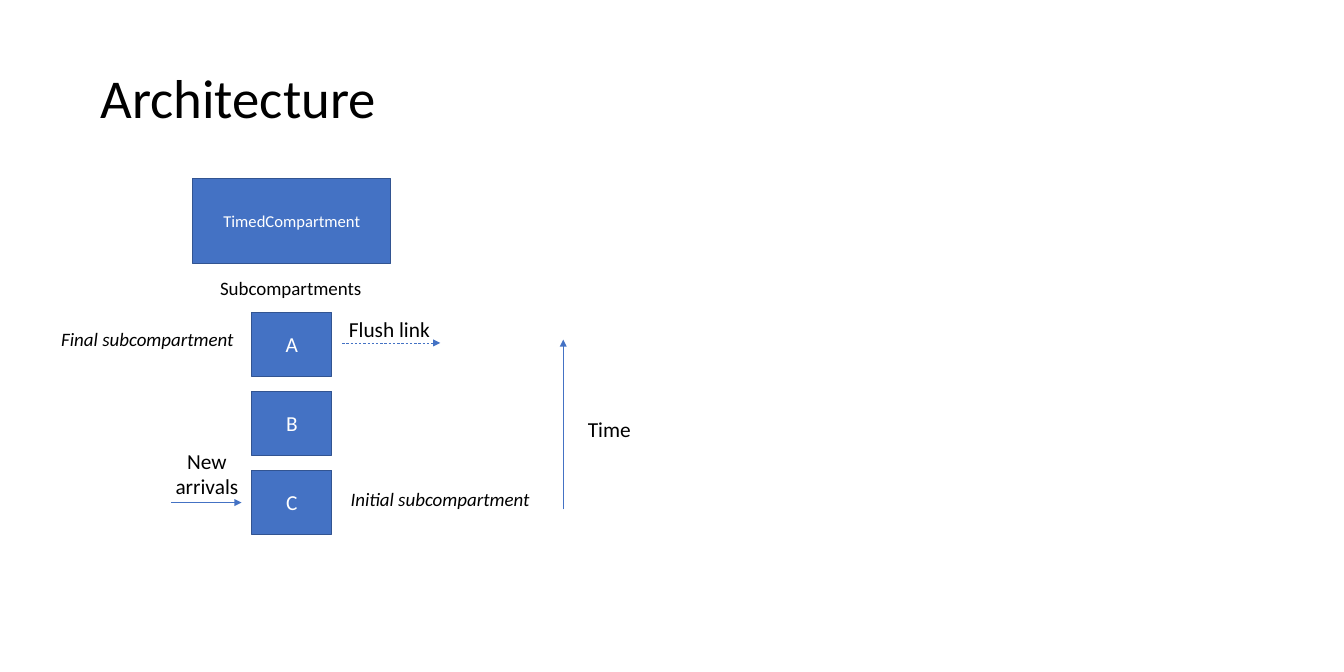
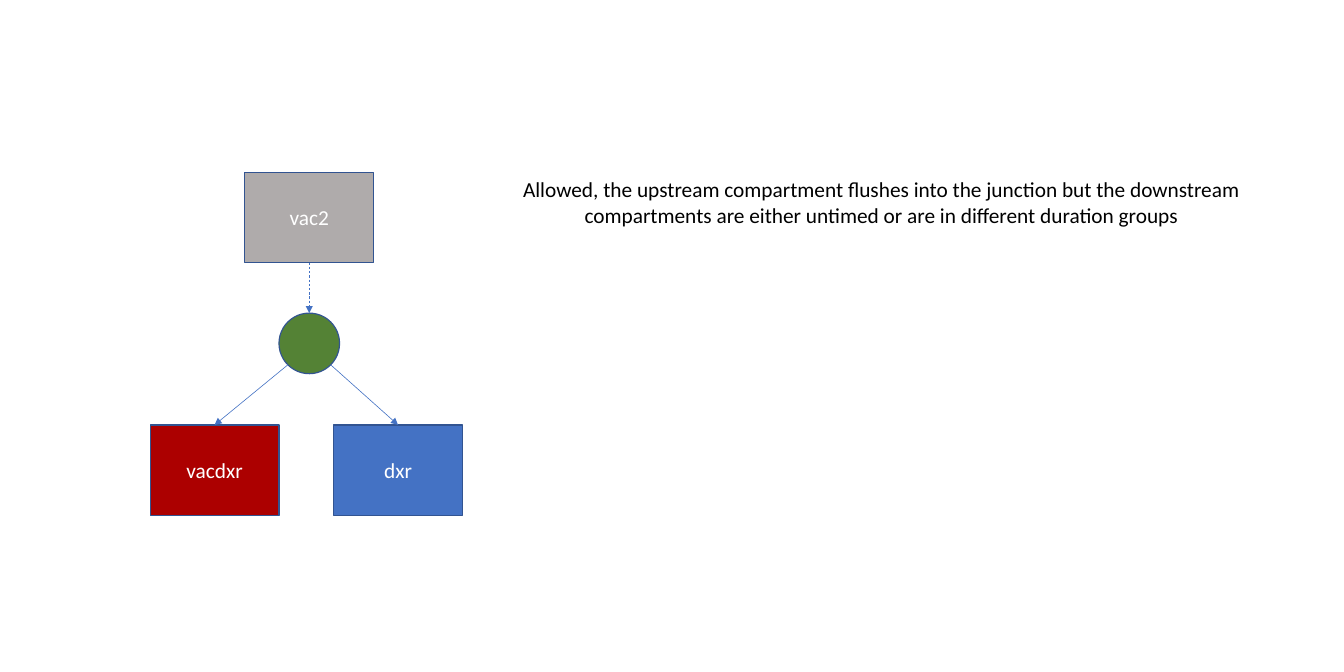
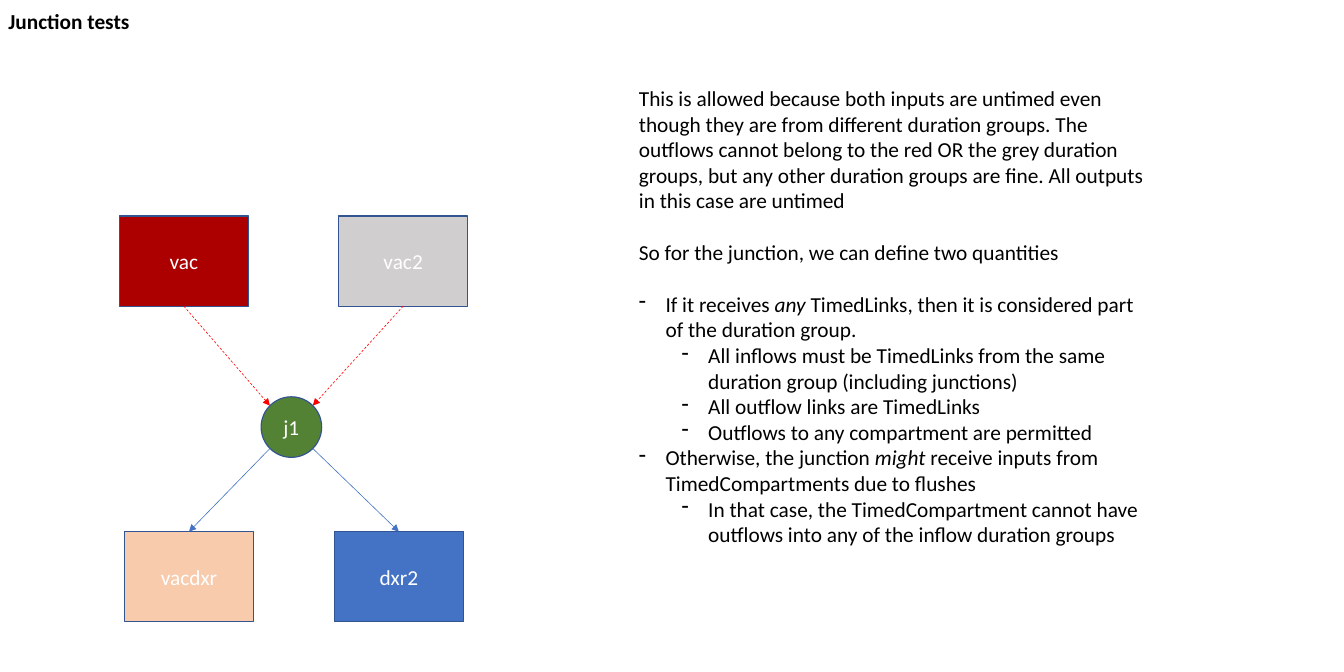
import math
import pptx
import pptx.util
import pptx.dml.color
import pptx.enum.dml
import pptx.enum.shapes
import pptx.enum.text
import pptx.oxml.ns
import lxml.etree

Pt = pptx.util.Pt
RGB = pptx.dml.color.RGBColor
SHAPE = pptx.enum.shapes.MSO_SHAPE
ALIGN = pptx.enum.text.PP_ALIGN
ANCHOR = pptx.enum.text.MSO_ANCHOR
qn = pptx.oxml.ns.qn

BLUE, EDGE = RGB(0x44, 0x72, 0xC4), RGB(0x32, 0x54, 0x91)
RED, CRIMSON = RGB(0xFF, 0, 0), RGB(0xAC, 0, 0)
GREY, SILVER = RGB(0xAF, 0xAB, 0xAB), RGB(0xD0, 0xCE, 0xCE)
GREEN, PEACH = RGB(0x54, 0x82, 0x35), RGB(0xF8, 0xCB, 0xAD)
BLACK, WHITE = RGB(0, 0, 0), RGB(0xFF, 0xFF, 0xFF)
FONT, BODY, LINE = "Calibri", 18, 22
BOX_W, BOX_H, HUB_D = 108.7, 76.2, 51.1

# Slide 1: text, place, size, italic
STAGES = ["A", "B", "C"]
STAGE_X, STAGE_Y, STAGE_W, STAGE_H, STAGE_STEP = 212.4, 263.5, 67.7, 54, 66.6
LABELS = [
    ("Flush link", (287.3, 263.5, 83.5, 29), 18, False),
    ("Subcompartments", (178.6, 229.7, 135.4, 26.6), 16, False),
    ("Final subcompartment", (44.6, 272.9, 162.7, 26.6), 16, True),
    ("Initial subcompartment", (288.7, 408.2, 167.8, 26.6), 16, True),
    ("Time", (488.9, 347.8, 51.1, 29), 18, False),
]
FLOWS = [  # from, to, dashed
    ((288.7, 289.4), (371.5, 289.4), True),
    ((144.7, 424.1), (203.8, 424.1), False),
    ((475.2, 429.8), (475.2, 286.6), False),
]

# Slides 2 and 3: hub, sources above it, targets below it
SPLIT = {
    "hub": ("", 235.4, 264.2), "ink": BLUE,
    "above": [("vac2", 206.6, 145.4, GREY)],
    "below": [("vacdxr", 126.7, 358.6, CRIMSON), ("dxr", 281.5, 358.6, BLUE)],
}
MERGE = {
    "hub": ("j1", 220.3, 334.8), "ink": RED,
    "above": [("vac", 100.8, 182.2, CRIMSON), ("vac2", 285.8, 182.2, SILVER)],
    "below": [("vacdxr", 105.1, 448.6, PEACH), ("dxr2", 282.2, 448.6, BLUE)],
}
ALLOWED = ("Allowed, the upstream compartment flushes into the junction but the "
           "downstream compartments are either untimed or are in different "
           "duration groups")
NOTES = [  # bullet level (0 for plain text), text with *italic* parts
    (0, "This is allowed because both inputs are untimed even though they are "
        "from different duration groups. The outflows cannot belong to the red "
        "OR the grey duration groups, but any other duration groups are fine. "
        "All outputs in this case are untimed"),
    (0, "So for the junction, we can define two quantities"),
    (1, "If it receives *any *TimedLinks, then it is considered part of the "
        "duration group."),
    (2, "All inflows must be TimedLinks from the same duration group "
        "(including junctions)"),
    (2, "All outflow links are TimedLinks"),
    (2, "Outflows to any compartment are permitted"),
    (1, "Otherwise, the junction *might* receive inputs from TimedCompartments "
        "due to flushes"),
    (2, "In that case, the TimedCompartment cannot have outflows into any of "
        "the inflow duration groups"),
]


def style(para, size=BODY, color=BLACK, bold=False):
    """Give every run of a paragraph the deck's font."""
    for run in para.runs:
        run.font.name, run.font.size = FONT, Pt(size)
        run.font.color.rgb, run.font.bold = color, bold


def label(slide, text, area, size=BODY, wrap=True, align=ALIGN.LEFT,
          bold=False, italic=False):
    """Add a text box and return it."""
    box = slide.shapes.add_textbox(*map(Pt, area))
    frame = box.text_frame
    frame.text, frame.word_wrap = text, wrap
    para = frame.paragraphs[0]
    para.alignment = align
    style(para, size, bold=bold)
    for run in para.runs:
        run.font.italic = italic
    return box


def block(slide, text, area, fill=BLUE, size=BODY, kind=SHAPE.RECTANGLE):
    """Add a filled shape with centred white text."""
    shape = slide.shapes.add_shape(kind, *map(Pt, area))
    shape.shadow.inherit = False
    shape.fill.solid()
    shape.fill.fore_color.rgb = fill
    shape.line.color.rgb, shape.line.width = EDGE, Pt(1)
    if text:
        frame = shape.text_frame
        frame.text, frame.vertical_anchor = text, ANCHOR.MIDDLE
        frame.paragraphs[0].alignment = ALIGN.CENTER
        style(frame.paragraphs[0], size, WHITE)


def arrow(slide, start, end, dashed=False, color=BLUE):
    """Add a thin line with an arrowhead at its end."""
    link = slide.shapes.add_connector(
        pptx.enum.shapes.MSO_CONNECTOR.STRAIGHT, *map(Pt, start + end))
    link.line.color.rgb, link.line.width = color, Pt(0.5)
    if dashed:
        link.line.dash_style = pptx.enum.dml.MSO_LINE.DASH
    tip = lxml.etree.SubElement(link.line._get_or_add_ln(), qn("a:tailEnd"))
    tip.set("type", "triangle")
    lxml.etree.SubElement(link._element.spPr, qn("a:effectLst"))


def rim(hub, x, side):
    """Point on the hub facing x; side is -1 for above, 1 for below."""
    mid_x, mid_y = hub[1] + HUB_D / 2, hub[2] + HUB_D / 2
    gap = x - mid_x
    if abs(gap) < 1:
        return mid_x, mid_y + side * HUB_D / 2
    reach = HUB_D / 2 * math.sqrt(0.5)
    return mid_x + math.copysign(reach, gap), mid_y + side * reach


def graph(slide, plan):
    """Draw a junction with the boxes that feed it and those it feeds."""
    hub = plan["hub"]
    block(slide, hub[0], hub[1:] + (HUB_D, HUB_D), GREEN, kind=SHAPE.OVAL)
    for name, x, y, fill in plan["above"] + plan["below"]:
        block(slide, name, (x, y, BOX_W, BOX_H), fill)
    for name, x, y, fill in plan["above"]:
        mid = x + BOX_W / 2
        arrow(slide, (mid, y + BOX_H), rim(hub, mid, -1), True, plan["ink"])
    for name, x, y, fill in plan["below"]:
        mid = x + BOX_W / 2
        arrow(slide, rim(hub, mid, 1), (mid, y))


def notes(slide, items, area):
    """Add a text box of plain and dashed paragraphs."""
    frame = slide.shapes.add_textbox(*map(Pt, area)).text_frame
    frame.word_wrap = True
    for i, (level, text) in enumerate(items):
        para = frame.add_paragraph() if i else frame.paragraphs[0]
        for j, part in enumerate(text.split("*")):
            run = para.add_run()
            run.text, run.font.italic = part, j % 2 == 1
        style(para)
        if not level:
            para.space_after = Pt(LINE)
            continue
        para.level = level - 1
        props = para._p.get_or_add_pPr()
        props.set("marL", str(Pt(22.5 + 36 * (level - 1))))
        props.set("indent", str(Pt(-22.5)))
        lxml.etree.SubElement(props, qn("a:buChar")).set("char", "-")


deck = pptx.Presentation()
deck.slide_width, deck.slide_height = Pt(1134), Pt(567)
first, second, third = [deck.slides.add_slide(deck.slide_layouts[6])
                        for _ in range(3)]

title = label(first, "Architecture", (77.8, 30.2, 977.8, 109.4), 46.2)
title.text_frame.vertical_anchor = ANCHOR.MIDDLE
title.text_frame.paragraphs[0].line_spacing = 0.9
block(first, "TimedCompartment", (162.7, 150.5, 167, 72), size=14)
for i, name in enumerate(STAGES):
    block(first, name, (STAGE_X, STAGE_Y + i * STAGE_STEP, STAGE_W, STAGE_H))
for text, area, size, italic in LABELS:
    label(first, text, area, size, wrap=False, italic=italic)
label(first, "New arrivals", (134.6, 374.4, 79.9, 51), align=ALIGN.CENTER)
for start, end, dashed in FLOWS:
    arrow(first, start, end, dashed)

graph(second, SPLIT)
label(second, ALLOWED, (432.7, 145.4, 622, 51), align=ALIGN.CENTER)

graph(third, MERGE)
label(third, "Junction tests", (0, 3.6, 252, 29), bold=True)
notes(third, NOTES, (532, 68.4, 446.4, 399.6))

deck.save("out.pptx")
